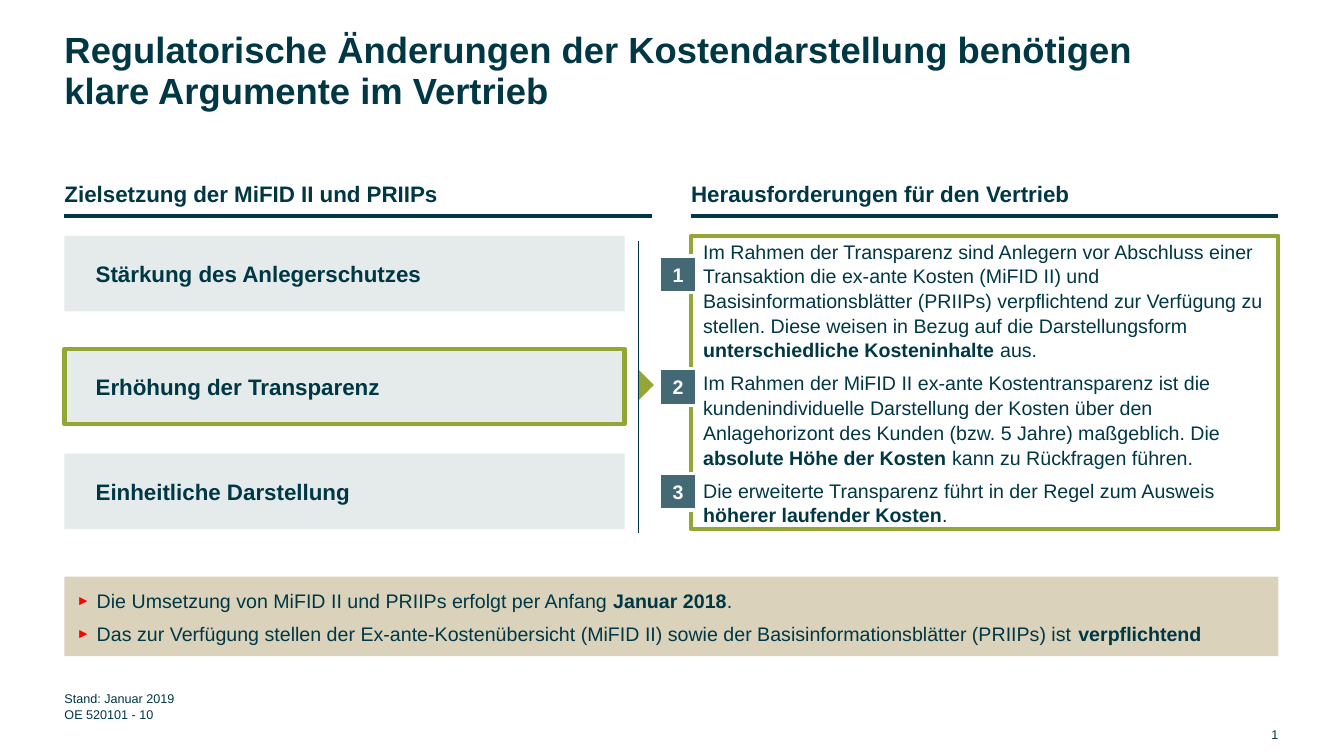
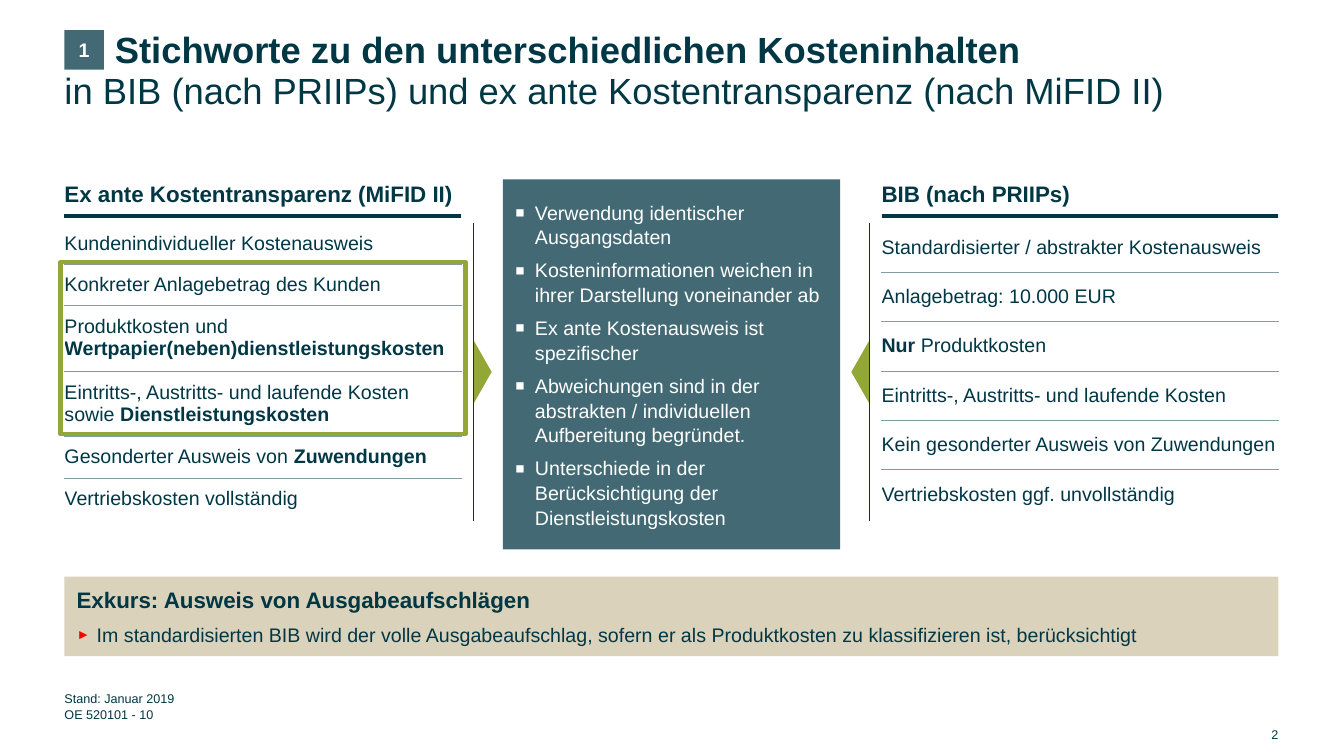
import pptx
import pptx.util
import pptx.dml.color
import pptx.enum.shapes
import pptx.enum.text
import pptx.oxml
import pptx.oxml.ns
import lxml.etree

Inches, Pt = pptx.util.Inches, pptx.util.Pt
RGBColor = pptx.dml.color.RGBColor
Shape = pptx.enum.shapes.MSO_SHAPE
Anchor = pptx.enum.text.MSO_ANCHOR
Align = pptx.enum.text.PP_ALIGN
qn = pptx.oxml.ns.qn

# Colours and font
FONT = "Arial"
PETROL = RGBColor(0x00, 0x37, 0x45)
TEAL = RGBColor(0x43, 0x6A, 0x74)
MIST = RGBColor(0x82, 0x9C, 0xA4)
PALE = RGBColor(0xE5, 0xEA, 0xEA)
GREEN = RGBColor(0x92, 0xA7, 0x36)
SAND = RGBColor(0xDA, 0xD2, 0xBA)
RED = RGBColor(0xFF, 0x00, 0x00)
WHITE = RGBColor(0xFF, 0xFF, 0xFF)

# Grid, in inches
SLIDE_WIDTH, SLIDE_HEIGHT = 13.34, 7.5
LEFT, WIDTH = 0.64, 12.05
RIGHT = LEFT + WIDTH
HALF, THIRD = 5.83, 3.94
HEAD_TOP, HEAD_HEIGHT, RULE_TOP = 1.78, 0.27, 2.14
INSET = 0.12
ARROW = (">", "\u25ba", RED, 70)[1:]
SQUARE = ("\u25aa", WHITE, 150)


def write(frame, texts, size=14, bold=False, colour=PETROL, align=Align.LEFT,
          anchor=Anchor.MIDDLE, inset=0, after=0, spacing=1.0, indent=0, bullet=None):
    """Add paragraphs to a frame; ** switches between bold and regular."""
    frame.word_wrap = True
    frame.auto_size = pptx.enum.text.MSO_AUTO_SIZE.NONE
    frame.vertical_anchor = anchor
    frame.margin_left = frame.margin_right = Inches(inset)
    frame.margin_top = frame.margin_bottom = 0
    for text in texts:
        para = frame.add_paragraph() if frame.text else frame.paragraphs[0]
        para.alignment = align
        para.space_before, para.space_after = Pt(0), Pt(after)
        para.line_spacing = spacing
        properties = para._p.get_or_add_pPr()
        properties.set("marL", str(Inches(0.2) if bullet else 0))
        properties.set("indent", str(Inches(-0.2 if bullet else indent)))
        if bullet:
            sign, tint, percent = bullet
            holder = lxml.etree.SubElement(properties, qn("a:buClr"))
            lxml.etree.SubElement(holder, qn("a:srgbClr"), val=str(tint))
            lxml.etree.SubElement(properties, qn("a:buSzPct"), val=str(percent * 1000))
            lxml.etree.SubElement(properties, qn("a:buFont"), typeface=FONT)
            lxml.etree.SubElement(properties, qn("a:buChar"), char=sign)
        else:
            lxml.etree.SubElement(properties, qn("a:buNone"))
        for number, piece in enumerate(text.split("**")):
            if piece:
                span = para.add_run()
                span.text = piece
                span.font.name, span.font.size = FONT, Pt(size)
                span.font.bold = bold != (number % 2 == 1)
                span.font.color.rgb = colour


def add_box(page, left, top, width, height, fill=None, line=None, weight=3.0,
            kind=Shape.RECTANGLE):
    """Add a preset shape without shadow."""
    box = page.shapes.add_shape(kind, *map(Inches, (left, top, width, height)))
    box.shadow.inherit = False
    if fill is None:
        box.fill.background()
    else:
        box.fill.solid()
        box.fill.fore_color.rgb = fill
    if line is None:
        box.line.fill.background()
    else:
        box.line.color.rgb, box.line.width = line, Pt(weight)
    return box


deck = pptx.Presentation()
deck.slide_width, deck.slide_height = Inches(SLIDE_WIDTH), Inches(SLIDE_HEIGHT)

# Shared parts: title, sand-coloured list, footer, page number
titles = [
    ["Regulatorische Änderungen der Kostendarstellung benötigen klare Argumente im Vertrieb"],
    ["**Stichworte zu den unterschiedlichen Kosteninhalten**",
     "in BIB (nach PRIIPs) und ex ante Kostentransparenz (nach MiFID II)"],
]
excursus_heads = [[], ["Exkurs: Ausweis von Ausgabeaufschlägen"]]
key_points = [
    ["Die Umsetzung von MiFID II und PRIIPs erfolgt per Anfang **Januar 2018**.",
     "Das zur Verfügung stellen der Ex-ante-Kostenübersicht (MiFID II) sowie der "
     "Basisinformationsblätter (PRIIPs) ist **verpflichtend**"],
    ["Im standardisierten BIB wird der volle Ausgabeaufschlag, sofern er als "
     "Produktkosten zu klassifizieren ist, berücksichtigt"],
]
pages = []
for number, (title, head, points) in enumerate(zip(titles, excursus_heads, key_points), 1):
    page = deck.slides.add_slide(deck.slide_layouts[1])
    pages.append(page)
    heading, summary = page.placeholders
    heading.left, heading.top, heading.width, heading.height = map(
        Inches, (LEFT, 0.3, 10.94, 1.18))
    write(heading.text_frame, title[:1], size=26, bold=len(title) == 1,
          anchor=Anchor.TOP, spacing=0.95, indent=0 if len(title) == 1 else 0.5)
    write(heading.text_frame, title[1:], size=26, anchor=Anchor.TOP, spacing=0.95)

    summary.left, summary.top, summary.width, summary.height = map(
        Inches, (LEFT, 5.72, WIDTH, 0.79))
    summary.fill.solid()
    summary.fill.fore_color.rgb = SAND
    write(summary.text_frame, head, size=16, bold=True, inset=INSET, after=6)
    write(summary.text_frame, points, inset=INSET, after=6, spacing=1.05, bullet=ARROW)

    footer = page.shapes.add_textbox(*map(Inches, (LEFT, 6.86, WIDTH, 0.3)))
    write(footer.text_frame, ["Stand: Januar 2019", "OE 520101 - 10"], size=9,
          anchor=Anchor.BOTTOM)
    counter = page.shapes.add_textbox(*map(Inches, (RIGHT - 0.59, 7.19, 0.59, 0.2)))
    write(counter.text_frame, [str(number)], size=9, align=Align.RIGHT)
    # Turn the number into a slide number field
    run = counter.text_frame.paragraphs[0].runs[0]._r
    field = lxml.etree.Element(qn("a:fld"), type="slidenum",
                               id="{B6F15528-21DE-4FAA-801E-634DDDAF4B2B}")
    run.addprevious(field)
    field.extend(list(run))
    run.getparent().remove(run)

goals_page, costs_page = pages

# Column headings
columns = [
    (goals_page, LEFT, HALF, "Zielsetzung der MiFID II und PRIIPs"),
    (goals_page, RIGHT - HALF, HALF, "Herausforderungen für den Vertrieb"),
    (costs_page, LEFT, THIRD, "Ex ante Kostentransparenz (MiFID II)"),
    (costs_page, RIGHT - THIRD, THIRD, "BIB (nach PRIIPs)"),
]
for page, left, width, text in columns:
    box = page.shapes.add_textbox(*map(Inches, (left, HEAD_TOP, width, HEAD_HEIGHT)))
    write(box.text_frame, [text], size=16, bold=True, anchor=Anchor.BOTTOM)

# Arrowheads: page, centre, base, depth, rotation
for page, middle, centre, base, depth, turn in [
        (goals_page, 6.41, 3.82, 0.32, 0.16, 90),
        (costs_page, 4.79, 3.69, 0.63, 0.18, 90),
        (costs_page, 8.54, 3.69, 0.63, 0.18, 270)]:
    arrow = add_box(page, middle - base / 2, centre - depth / 2, base, depth,
                    fill=GREEN, kind=Shape.ISOSCELES_TRIANGLE)
    arrow.rotation = turn

# Rules under the headings and dividers beside the columns
rules = [(page, left, RULE_TOP, left + width, RULE_TOP, 3)
         for page, left, width, text in columns]
rules += [(goals_page, 6.33, 2.39, 6.33, 5.29, 0.25)]
rules += [(costs_page, x, 2.21, x, 5.17, 0.25) for x in (4.7, 8.63)]
for page, x1, y1, x2, y2, weight in rules:
    rule = page.shapes.add_connector(pptx.enum.shapes.MSO_CONNECTOR.STRAIGHT,
                                     *map(Inches, (x1, y1, x2, y2)))
    rule.line.color.rgb, rule.line.width = PETROL, Pt(weight)
    lxml.etree.SubElement(rule._element.spPr, qn("a:effectLst"))

# Slide 1: challenges on the right
challenges = add_box(goals_page, RIGHT - HALF, 2.34, HALF, 2.91, line=GREEN)
write(challenges.text_frame, [
    "Im Rahmen der Transparenz sind Anlegern vor Abschluss einer Transaktion die ex-ante "
    "Kosten (MiFID II) und Basisinformationsblätter (PRIIPs) verpflichtend zur Verfügung zu "
    "stellen. Diese weisen in Bezug auf die Darstellungsform "
    "**unterschiedliche Kosteninhalte **aus.",
    "Im Rahmen der MiFID II ex-ante Kostentransparenz ist die kundenindividuelle Darstellung "
    "der Kosten über den Anlagehorizont des Kunden (bzw. 5 Jahre) maßgeblich. Die "
    "**absolute Höhe der Kosten **kann zu Rückfragen führen.",
    "Die erweiterte Transparenz führt in der Regel zum Ausweis "
    "**höherer laufender Kosten**.",
], inset=INSET, after=6, spacing=1.05)

# Slide 1: goals on the left, each level with a numbered badge
goals = [(2.34, "Stärkung des Anlegerschutzes", None),
         (3.46, "Erhöhung der Transparenz", GREEN),
         (4.5, "Einheitliche Darstellung", None)]
for number, (top, text, outline) in enumerate(goals, 1):
    goal = add_box(goals_page, LEFT, top, 5.56, 0.75, fill=PALE, line=outline)
    write(goal.text_frame, [text], size=16, bold=True, inset=0.31)
    badge = add_box(goals_page, 6.55, top + 0.2, 0.36, 0.36, fill=TEAL, line=WHITE, weight=2.25)
    write(badge.text_frame, [str(number)], bold=True, colour=WHITE, align=Align.CENTER)

# Slide 2: badge in the title and comparison in the middle
badge = add_box(costs_page, LEFT, 0.3, 0.39, 0.39, fill=TEAL)
write(badge.text_frame, ["1"], bold=True, colour=WHITE, align=Align.CENTER)
comparison = add_box(costs_page, 4.99, HEAD_TOP, 3.35, 3.67, fill=TEAL)
write(comparison.text_frame, [
    "Verwendung identischer Ausgangsdaten",
    "Kosteninformationen weichen in ihrer Darstellung voneinander ab",
    "Ex ante Kostenausweis ist spezifischer",
    "Abweichungen sind in der abstrakten / individuellen Aufbereitung begründet.",
    "Unterschiede in der Berücksichtigung der Dienstleistungskosten",
], colour=WHITE, inset=INSET, after=6, spacing=1.05, bullet=SQUARE)

# Slide 2: one-column tables with thin lines between the rows
cost_tables = [
    (LEFT, [0.41, 0.41, 0.65, 0.65, 0.41, 0.41], [
        "Kundenindividueller Kostenausweis",
        "Konkreter Anlagebetrag des Kunden",
        "Produktkosten und **Wertpapier(neben)dienstleistungskosten**",
        "Eintritts-, Austritts- und laufende Kosten sowie **Dienstleistungskosten**",
        "Gesonderter Ausweis von **Zuwendungen**",
        "Vertriebskosten vollständig"]),
    (RIGHT - THIRD, [0.49] * 6, [
        "Standardisierter / abstrakter Kostenausweis",
        "Anlagebetrag: 10.000 EUR",
        "**Nur **Produktkosten",
        "Eintritts-, Austritts- und laufende Kosten",
        "Kein gesonderter Ausweis von Zuwendungen",
        "Vertriebskosten ggf. unvollständig"]),
]
for left, heights, texts in cost_tables:
    table = costs_page.shapes.add_table(
        len(texts), 1, *map(Inches, (left, 2.21, THIRD, sum(heights)))).table
    table.first_row = table.horz_banding = False
    for index, (height, text) in enumerate(zip(heights, texts)):
        table.rows[index].height = Inches(height)
        cell = table.cell(index, 0)
        cell.margin_left = cell.margin_right = cell.margin_top = cell.margin_bottom = 0
        cell.vertical_anchor = Anchor.MIDDLE
        cell.fill.background()
        write(cell.text_frame, [text])
        edges = ["a:lnT"] * (index > 0) + ["a:lnB"] * (index < len(texts) - 1)
        for place, edge in enumerate(edges):
            border = lxml.etree.Element(qn(edge), w=str(Pt(0.25)))
            paint = lxml.etree.SubElement(border, qn("a:solidFill"))
            lxml.etree.SubElement(paint, qn("a:srgbClr"), val=str(MIST))
            cell._tc.get_or_add_tcPr().insert(place, border)

# Slide 2: frame around the customer-specific rows
add_box(costs_page, 0.6, 2.6, 4.02, 1.71, line=GREEN)

deck.save("out.pptx")
